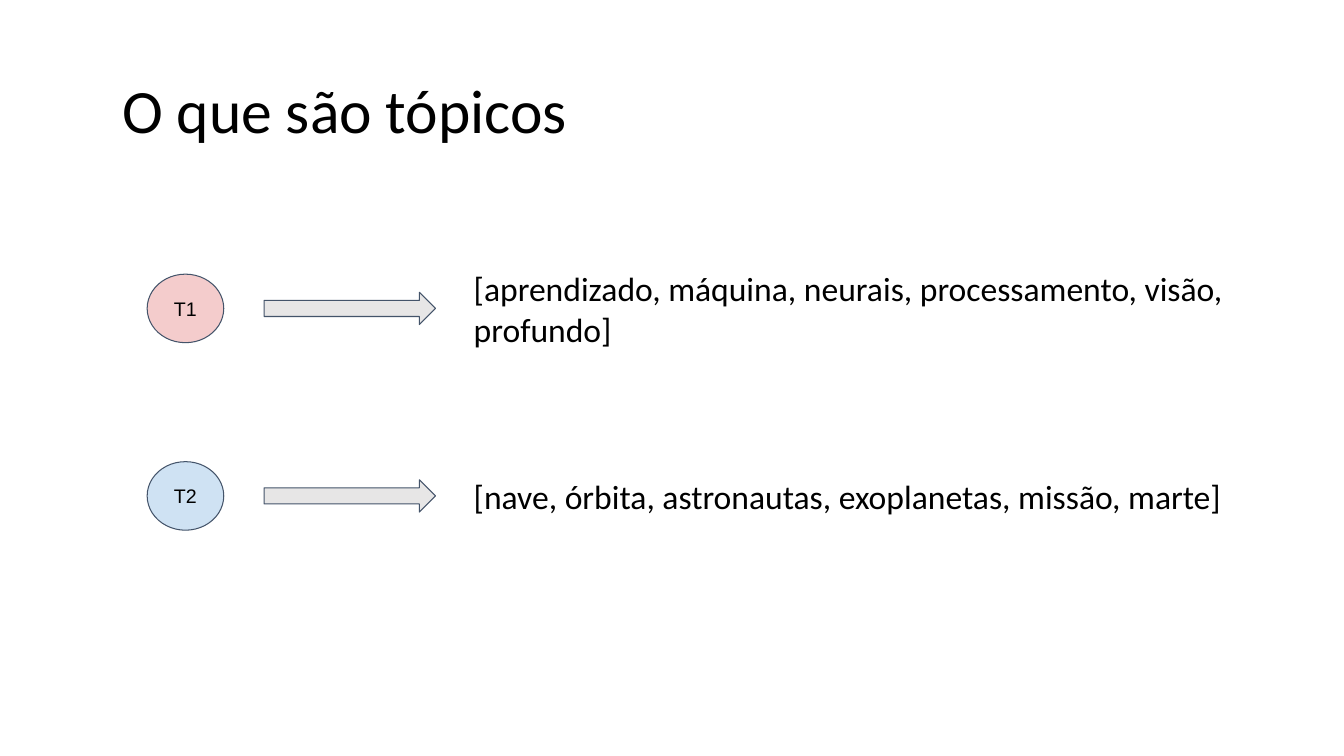
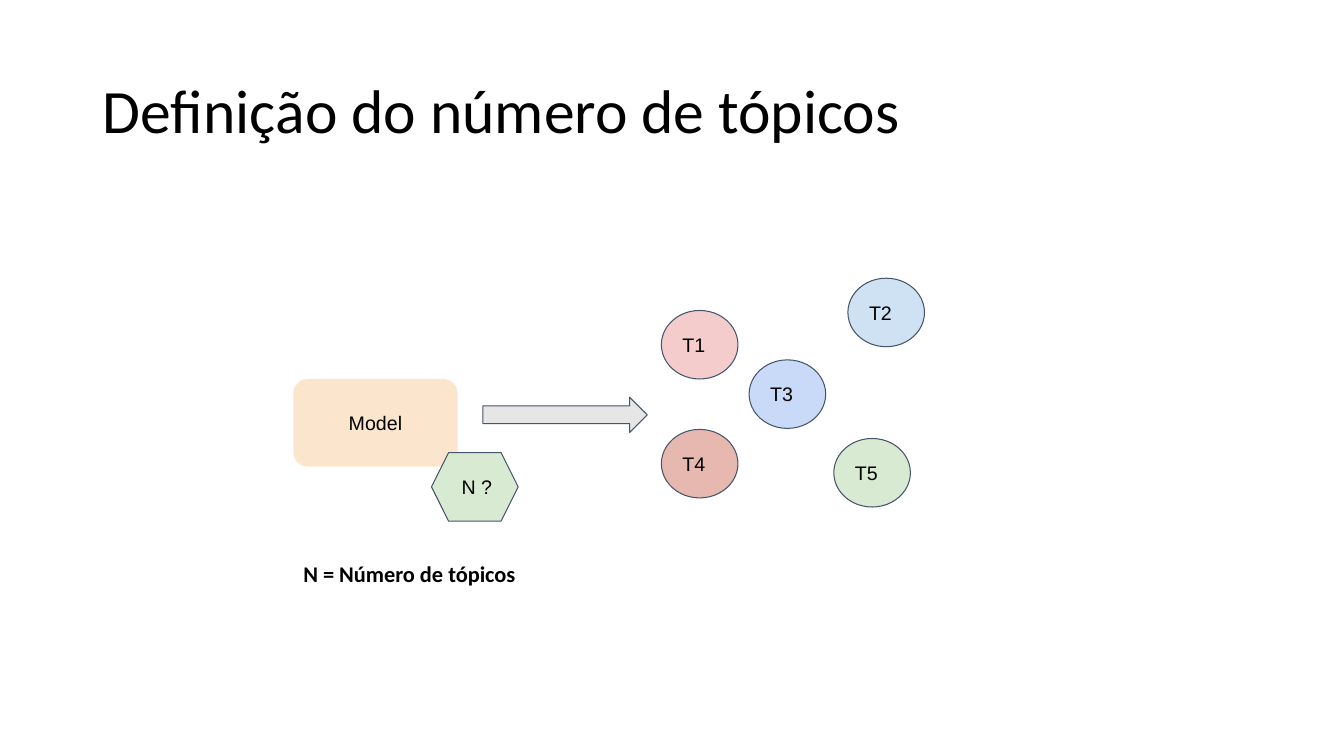
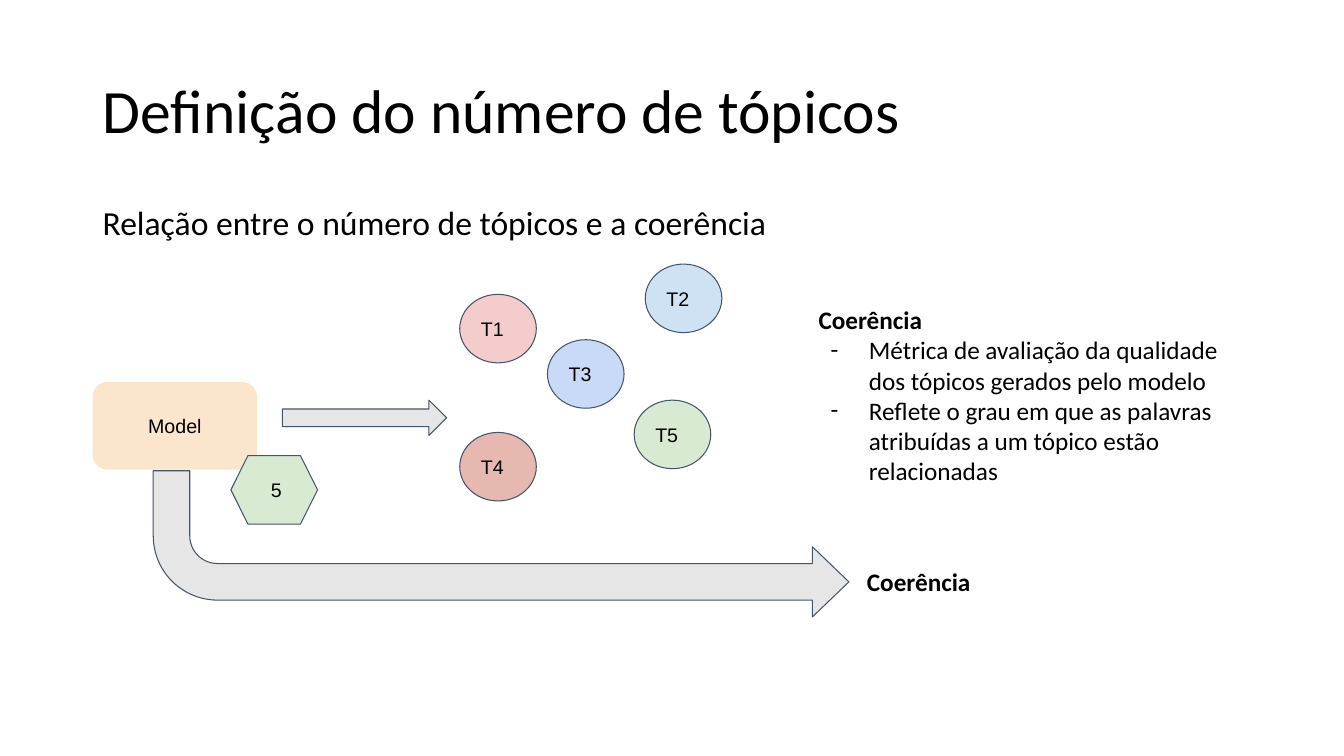
import pptx
import pptx.dml.color
import pptx.enum.shapes
import pptx.enum.text
import pptx.oxml
import pptx.oxml.ns
import pptx.util

PIXEL = pptx.util.Inches(1) // 100
SHAPES = pptx.enum.shapes.MSO_SHAPE
LEFT = pptx.enum.text.PP_ALIGN.LEFT
CENTER = pptx.enum.text.PP_ALIGN.CENTER
TOP = pptx.enum.text.MSO_ANCHOR.TOP
MIDDLE = pptx.enum.text.MSO_ANCHOR.MIDDLE

COLORS = {
    "text": "000000", "outline": "44546A", "arrow": "E7E6E6", "model": "FCE5CD",
    "number": "D9EAD3", "T1": "F4CCCC", "T2": "CFE2F3", "T3": "C9DAF8",
    "T4": "E6B8AF", "T5": "D9EAD3",
}

TITLE_BOX = (92, 40, 1150, 145)
TITLE_FONT = {"name": "Calibri", "size": pptx.util.Pt(44)}
LABEL_FONT = {"name": "Arial", "size": pptx.util.Pt(14)}
BODY_FONT = {"name": "Calibri", "size": pptx.util.Pt(24)}
NOTE_FONT = {"name": "Calibri", "size": pptx.util.Pt(16), "bold": True}
METRIC_FONT = {"name": "Calibri", "size": pptx.util.Pt(18), "bold": True}
DETAIL_FONT = {**METRIC_FONT, "bold": False}
TIGHT = {"line_spacing": 0.9}

TOPIC_SIZE = (76, 68)
TOPIC_ROWS = [
    ("T1", 272, "[aprendizado, máquina, neurais, processamento, visão, profundo]", 101),
    ("T2", 458, "[nave, órbita, astronautas, exoplanetas, missão, marte]", 61),
]
NUMBER_TITLE = "Definição do número de tópicos"
OPEN_TOPICS = {"T1": (656, 308), "T5": (827, 435), "T3": (743, 357),
               "T4": (656, 426), "T2": (841, 276)}
FIVE_TOPICS = {"T1": (456, 292), "T5": (629, 397), "T3": (543, 337),
               "T4": (456, 429), "T2": (640, 262)}
COHERENCE = "Coerência"
COHERENCE_POINTS = [
    "Métrica de avaliação da qualidade dos tópicos gerados pelo modelo",
    "Reflete o grau em que as palavras atribuídas a um tópico estão relacionadas",
]


def set_all(target, values):
    for name, value in values.items():
        setattr(target, name, value)


def pixels(box):
    return [length * PIXEL for length in box]


def color(name):
    return pptx.dml.color.RGBColor.from_string(COLORS[name])


def set_frame(shape, anchor, side=10, vertical=10):
    set_all(shape.text_frame, {
        "word_wrap": True, "vertical_anchor": anchor,
        "auto_size": pptx.enum.text.MSO_AUTO_SIZE.NONE,
        "margin_left": side * PIXEL, "margin_right": 10 * PIXEL,
        "margin_top": vertical * PIXEL, "margin_bottom": vertical * PIXEL,
    })


def write(paragraph, text, font, alignment=LEFT, spacing=None):
    set_all(paragraph, {"alignment": alignment, **(spacing or {})})
    run = paragraph.add_run()
    run.text = text
    set_all(run.font, font)
    run.font.color.rgb = color("text")


def set_indent(paragraph, margin, indent):
    properties = paragraph._p.get_or_add_pPr()
    properties.set("marL", str(margin * PIXEL))
    properties.set("indent", str(indent * PIXEL))
    return properties


def add_dash(paragraph):
    properties = set_indent(paragraph, 50, -38)
    namespace = pptx.oxml.ns.nsdecls("a")
    for markup in (
        f'<a:buClr {namespace}><a:srgbClr val="{COLORS["text"]}"/></a:buClr>',
        f'<a:buFont {namespace} typeface="Calibri"/>',
        f'<a:buChar {namespace} char="-"/>',
    ):
        properties.append(pptx.oxml.parse_xml(markup))


def add_title_slide(presentation, title):
    slide = presentation.slides.add_slide(presentation.slide_layouts[5])
    shape = slide.shapes.title
    set_all(shape, dict(zip(("left", "top", "width", "height"), pixels(TITLE_BOX))))
    set_frame(shape, MIDDLE, vertical=5)
    write(shape.text_frame.paragraphs[0], title, TITLE_FONT, spacing=TIGHT)
    return slide


def add_text(slide, box, text, font, spacing=None, vertical=10):
    shape = slide.shapes.add_textbox(*pixels(box))
    set_frame(shape, TOP, vertical=vertical)
    write(shape.text_frame.paragraphs[0], text, font, spacing=spacing)
    return shape.text_frame


def add_figure(slide, kind, box, fill, label=None, alignment=CENTER, outlined=True, side=10):
    shape = slide.shapes.add_shape(kind, *pixels(box))
    shape.shadow.inherit = False
    shape.fill.solid()
    shape.fill.fore_color.rgb = color(fill)
    if outlined:
        shape.line.color.rgb = color("outline")
        shape.line.width = pptx.util.Pt(0.75)
    else:
        shape.line.fill.background()
    if label:
        set_frame(shape, MIDDLE, side)
        write(shape.text_frame.paragraphs[0], label, LABEL_FONT, alignment)
    return shape


def add_topic(slide, name, position, alignment=LEFT):
    add_figure(slide, SHAPES.OVAL, (*position, *TOPIC_SIZE), name, name, alignment)


def add_model(slide, left, top, number, topics):
    add_figure(slide, SHAPES.ROUNDED_RECTANGLE, (left, top, 163, 87), "model", "Model",
               outlined=False)
    add_figure(slide, SHAPES.HEXAGON, (left + 137, top + 73, 86, 68), "number", number, side=14)
    add_figure(slide, SHAPES.RIGHT_ARROW, (left + 188, top + 18, 163, 35), "arrow")
    for name, position in topics.items():
        add_topic(slide, name, position)


def build_topics(presentation):
    slide = add_title_slide(presentation, "O que são tópicos")
    set_indent(slide.shapes.title.text_frame.paragraphs[0], 25, -6)
    for name, top, words, height in TOPIC_ROWS:
        middle = top + TOPIC_SIZE[1] // 2
        add_topic(slide, name, (146, top), CENTER)
        add_figure(slide, SHAPES.RIGHT_ARROW, (262, middle - 16, 170, 32), "arrow")
        add_text(slide, (460, middle - height // 2, 782, height), words, BODY_FONT)


def build_open_number(presentation):
    slide = add_title_slide(presentation, NUMBER_TITLE)
    add_model(slide, 291, 376, "N ?", OPEN_TOPICS)
    add_text(slide, (291, 546, 250, 47), "N = Número de tópicos", NOTE_FONT)


def build_coherence(presentation):
    slide = add_title_slide(presentation, NUMBER_TITLE)
    add_text(slide, (92, 200, 1150, 47), "Relação entre o número de tópicos e a coerência",
             BODY_FONT, {**TIGHT, "space_before": pptx.util.Pt(10)}, vertical=5)
    add_model(slide, 92, 379, "5", FIVE_TOPICS)
    arrow = add_figure(slide, SHAPES.BENT_ARROW, (152, 467, 690, 145), "arrow")
    for index, value in enumerate((0.25, 0.24, 0.25, 0.44)):
        arrow.adjustments[index] = value
    arrow.rotation = 180
    arrow.element.spPr.get_or_add_xfrm().set("flipH", "1")
    frame = add_text(slide, (802, 292, 446, 202), COHERENCE, METRIC_FONT)
    for point in COHERENCE_POINTS:
        paragraph = frame.add_paragraph()
        write(paragraph, point, DETAIL_FONT)
        add_dash(paragraph)
    add_text(slide, (850, 552, 147, 50), COHERENCE, METRIC_FONT)


def main():
    presentation = pptx.Presentation()
    presentation.slide_width = pptx.util.Inches(13.33)
    presentation.slide_height = pptx.util.Inches(7.5)
    for build in (build_topics, build_open_number, build_coherence):
        build(presentation)
    presentation.save("out.pptx")


if __name__ == "__main__":
    main()
